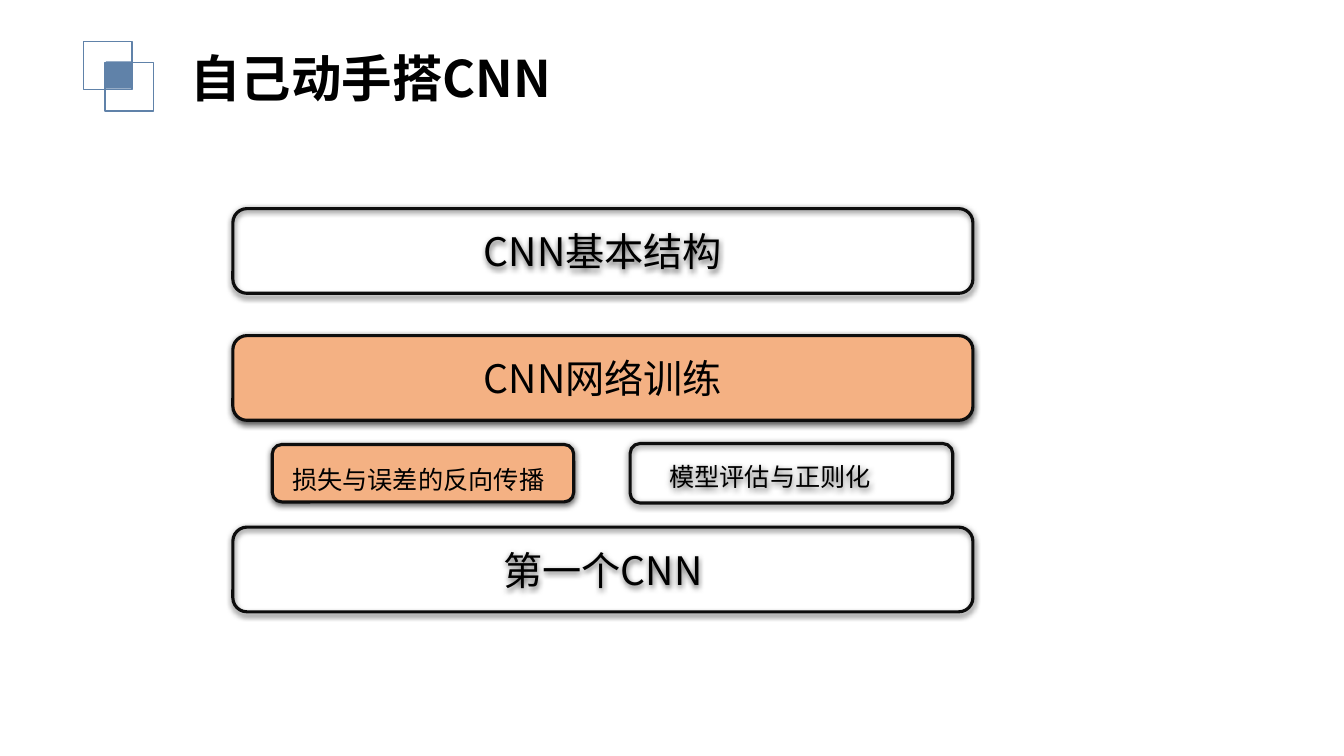
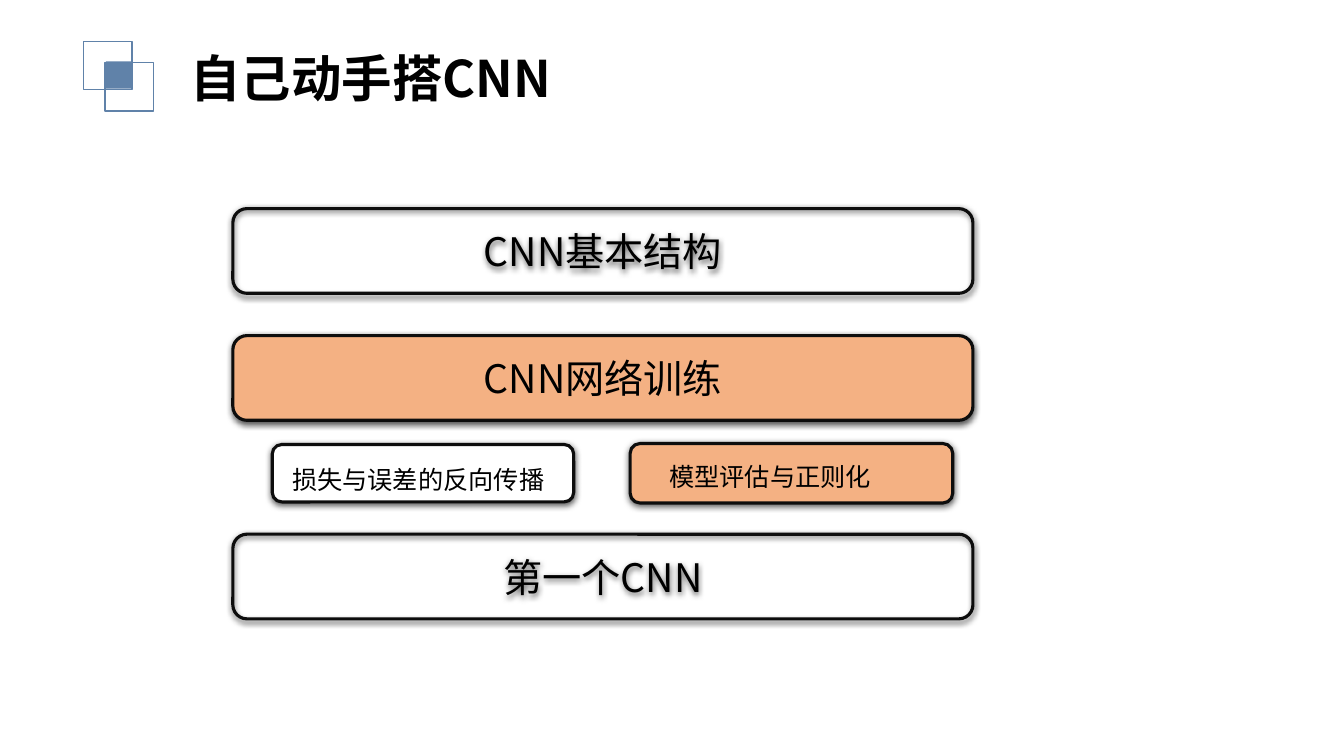
from dataclasses import dataclass
from typing import Optional

from lxml.etree import SubElement
from pptx import Presentation
from pptx.dml.color import RGBColor
from pptx.enum.shapes import MSO_SHAPE
from pptx.enum.text import MSO_ANCHOR, MSO_AUTO_SIZE, PP_ALIGN
from pptx.oxml.ns import qn
from pptx.util import Inches, Pt


@dataclass(frozen=True)
class Theme:
    font: str = "Noto Sans CJK SC"
    text: RGBColor = RGBColor(0, 0, 0)
    edge: RGBColor = RGBColor(0x0D, 0x0D, 0x0D)
    blue: RGBColor = RGBColor(0x60, 0x82, 0xA9)
    active: RGBColor = RGBColor(0xF4, 0xB1, 0x83)
    white: RGBColor = RGBColor(0xFF, 0xFF, 0xFF)
    title: int = 36
    topic: int = 28
    label: int = 18


@dataclass(frozen=True)
class Box:
    left: float
    top: float
    width: float
    height: float


@dataclass(frozen=True)
class Item:
    text: str
    box: Box
    size: int
    fill: Optional[RGBColor] = None
    align: PP_ALIGN = PP_ALIGN.CENTER
    inset: tuple[float, float, float, float] = (0.1, 0.05, 0.1, 0.05)


THEME = Theme()
TITLE = "自己动手搭CNN"


def place(shape, box: Box) -> None:
    shape.left, shape.top = Inches(box.left), Inches(box.top)
    shape.width, shape.height = Inches(box.width), Inches(box.height)


def paint(shape, fill: Optional[RGBColor], line: Optional[RGBColor], width: float = 1) -> None:
    if fill is None:
        shape.fill.background()
    else:
        shape.fill.solid()
        shape.fill.fore_color.rgb = fill
    if line is None:
        shape.line.fill.background()
    else:
        shape.line.color.rgb = line
        shape.line.width = Pt(width)


def add_form(slide, kind: MSO_SHAPE, box: Box):
    shape = slide.shapes.add_shape(kind, 0, 0, 0, 0)
    place(shape, box)
    shape.shadow.inherit = False
    return shape


def write(frame, text: str, size: int, align: PP_ALIGN, bold: bool = False) -> None:
    frame.text = text
    line = frame.paragraphs[0]
    line.alignment = align
    for run in line.runs:
        font = run.font
        font.name, font.size, font.bold = THEME.font, Pt(size), bold
        font.color.rgb = THEME.text
        SubElement(font._element, qn("a:ea"), typeface=THEME.font)


def add_shadow(shape) -> None:
    effects = shape._element.spPr.find(qn("a:effectLst"))
    outer = SubElement(effects, qn("a:outerShdw"), blurRad=str(Pt(4.5)),
                       dist=str(Pt(1.5)), dir="5400000", algn="ctr", rotWithShape="0")
    color = SubElement(outer, qn("a:srgbClr"), val="000000")
    SubElement(color, qn("a:alpha"), val="63000")


# Title with its mark of overlapping squares
def add_head(slide) -> None:
    squares = (
        (Box(0.83, 0.41, 0.48, 0.48), None, THEME.blue),
        (Box(1.04, 0.62, 0.48, 0.48), None, THEME.blue),
        (Box(1.05, 0.61, 0.25, 0.27), THEME.blue, None),
    )
    for box, fill, line in squares:
        paint(add_form(slide, MSO_SHAPE.RECTANGLE, box), fill, line)
    title = slide.shapes.title
    place(title, Box(1.79, 0.42, 4.59, 0.71))
    frame = title.text_frame
    frame.auto_size = MSO_AUTO_SIZE.NONE
    frame.vertical_anchor = MSO_ANCHOR.TOP
    write(frame, TITLE, THEME.title, PP_ALIGN.LEFT, bold=True)


# Rounded outline box
def add_item(slide, item: Item) -> None:
    shape = add_form(slide, MSO_SHAPE.ROUNDED_RECTANGLE, item.box)
    paint(shape, item.fill, THEME.edge, 2.25)
    add_shadow(shape)
    frame = shape.text_frame
    frame.word_wrap = True
    frame.vertical_anchor = MSO_ANCHOR.MIDDLE
    left, top, right, bottom = item.inset
    frame.margin_left, frame.margin_top = Inches(left), Inches(top)
    frame.margin_right, frame.margin_bottom = Inches(right), Inches(bottom)
    write(frame, item.text, item.size, item.align)


def topic(text: str, top: float, fill: Optional[RGBColor] = None) -> Item:
    return Item(text, Box(2.31, top, 7.34, 0.84), THEME.topic, fill)


# One outline slide: the fills mark the current topic
def add_page(deck, loss: RGBColor, model: Optional[RGBColor], last: float) -> None:
    slide = deck.slides.add_slide(deck.slide_layouts[5])
    add_head(slide)
    items = (
        Item("损失与误差的反向传播", Box(2.7, 4.41, 2.99, 0.57), THEME.label, loss,
             PP_ALIGN.LEFT, (0.17, 0.12, 0.1, 0)),
        Item("模型评估与正则化", Box(6.25, 4.4, 3.2, 0.59), THEME.label, model,
             PP_ALIGN.LEFT, (0.36, 0.07, 0.1, 0)),
        topic("CNN网络训练", 3.33, THEME.active),
        topic("CNN基本结构", 2.07),
        topic("第一个CNN", last),
    )
    for item in items:
        add_item(slide, item)


def main() -> None:
    deck = Presentation()
    deck.slide_width, deck.slide_height = Inches(13.33), Inches(7.5)
    add_page(deck, loss=THEME.active, model=None, last=5.23)
    add_page(deck, loss=THEME.white, model=THEME.active, last=5.3)
    deck.save("out.pptx")


if __name__ == "__main__":
    main()
